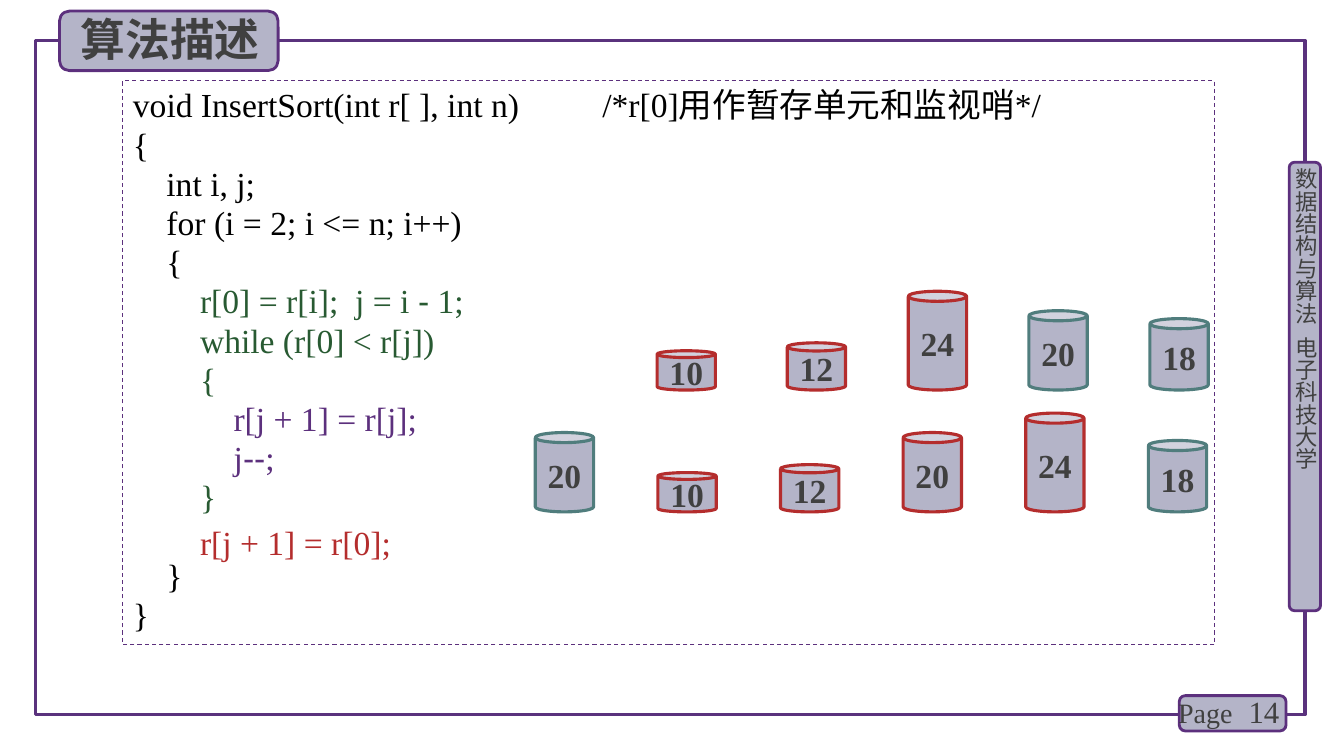
from dataclasses import dataclass
from itertools import groupby

from lxml import etree
from pptx import Presentation, util as u
from pptx.dml.color import RGBColor
from pptx.enum import dml, shapes, text
from pptx.oxml import ns


@dataclass(frozen=True)
class Theme:
    panel: str = "B4B4C8"
    frame: str = "5A327D"
    purple: str = "5C307D"
    green: str = "285A32"
    red: str = "B42D2D"
    teal: str = "507D7D"
    grey: str = "404040"
    black: str = "000000"
    serif: str = "Times New Roman"
    sans: str = "Arial"
    chinese: str = "Noto Sans CJK SC"
    title: int = 32
    body: int = 24
    number: int = 22
    label: int = 20
    side: int = 16
    pitch: int = 28


THEME = Theme()
SHAPE = shapes.MSO_SHAPE


@dataclass(frozen=True)
class Area:
    left: float
    top: float
    width: float
    height: float

    def lengths(self) -> list:
        return [u.Cm(n) for n in (self.left, self.top, self.width, self.height)]


@dataclass(frozen=True)
class Panel:
    area: Area
    kind: int = SHAPE.ROUNDED_RECTANGLE
    fill: str | None = THEME.panel
    line: str = THEME.purple
    weight: float = 2
    dashed: bool = False


@dataclass(frozen=True)
class Label:
    words: str
    area: Area
    size: int
    font: str = THEME.serif
    bold: bool = False
    align: int = text.PP_ALIGN.LEFT
    anchor: int = text.MSO_ANCHOR.TOP
    vertical: bool = False


@dataclass(frozen=True)
class CodeBlock:
    row: float
    color: str
    lines: tuple[str, ...]


@dataclass(frozen=True)
class CanRow:
    bottom: float
    lefts: tuple[float, ...]
    values: tuple[int, ...]
    pending: tuple[int, ...]  # positions not yet sorted


PANELS = (
    Panel(Area(0.89, 1.02, 32, 16.99), SHAPE.RECTANGLE, None, THEME.frame, 2.25),
    Panel(Area(32.49, 4.09, 0.79, 11.3)),
    Panel(Area(29.72, 17.53, 2.69, 0.89)),
    Panel(Area(1.5, 0.28, 5.51, 1.5)),
    Panel(Area(3.1, 2.03, 27.51, 14.22), SHAPE.RECTANGLE, None, weight=0.75, dashed=True),
)
LABELS = (
    Label("数据结构与算法", Area(32.56, 4.24, 0.69, 4.2), THEME.side, THEME.chinese, vertical=True),
    Label("电子科技大学", Area(32.56, 8.48, 0.69, 4.2), THEME.side, THEME.chinese, vertical=True),
    Label("14", Area(30.15, 17.42, 2.34, 1.02), THEME.number,
          align=text.PP_ALIGN.RIGHT, anchor=text.MSO_ANCHOR.MIDDLE),
    Label("Page", Area(29.44, 17.4, 3.25, 1.12), THEME.label),
    Label("算法描述", Area(1.78, 0.18, 5.33, 1.63), THEME.title, THEME.chinese, True),
)
CODE_LEFT, CODE_TOP, CODE_WIDTH, COMMENT_TAB = 3.1, 2.03, 27.5, 11.83
CODE = (
    CodeBlock(0, THEME.black, (
        "void InsertSort(int r[ ], int n)\t/*r[0]用作暂存单元和监视哨*/",
        "{",
        "    int i, j;",
        "    for (i = 2; i <= n; i++)",
        "    {")),
    CodeBlock(5, THEME.green, (
        "        r[0] = r[i];  j = i - 1;",
        "        while (r[0] < r[j])",
        "        {")),
    CodeBlock(8, THEME.purple, (
        "            r[j + 1] = r[j];",
        "            j--;")),
    CodeBlock(10, THEME.green, ("        }",)),
    CodeBlock(11.15, THEME.red, ("        r[j + 1] = r[0];",)),
    CodeBlock(12, THEME.black, ("    }", "}")),
)
CAN_WIDTH = 1.47
CAN_HEIGHTS = {10: 0.99, 12: 1.19, 18: 1.8, 20: 2.0, 24: 2.49}
CAN_ROWS = (
    CanRow(9.83, (16.56, 19.84, 22.89, 25.93, 28.98), (10, 12, 24, 20, 18), (3, 4)),
    CanRow(12.9, tuple(13.49 + 3.09 * i for i in range(6)), (20, 10, 12, 20, 24, 18), (0, 5)),
)


def apply(target, values: dict) -> None:
    for name, value in values.items():
        setattr(target, name, value)


def add_span(para, words: str, size: int, color: str, font: str = THEME.serif, bold: bool = False) -> None:
    span = para.add_run()
    span.text = words
    apply(span.font, {"name": font, "size": u.Pt(size), "bold": bold})
    span.font.color.rgb = RGBColor.from_string(color)
    east = etree.SubElement(span.font._element, ns.qn("a:ea"))
    east.set("typeface", THEME.chinese)


def add_panel(page, panel: Panel):
    box = page.shapes.add_shape(panel.kind, *panel.area.lengths())
    box.shadow.inherit = False
    if panel.fill:
        box.fill.solid()
        box.fill.fore_color.rgb = RGBColor.from_string(panel.fill)
    else:
        box.fill.background()
    box.line.color.rgb = RGBColor.from_string(panel.line)
    box.line.width = u.Pt(panel.weight)
    if panel.dashed:
        box.line.dash_style = dml.MSO_LINE.DASH
    return box


def add_label(page, label: Label) -> None:
    frame = page.shapes.add_textbox(*label.area.lengths()).text_frame
    apply(frame, {"word_wrap": True, "vertical_anchor": label.anchor})
    if label.vertical:
        margins = ("margin_left", "margin_top", "margin_right", "margin_bottom")
        apply(frame, dict.fromkeys(margins, 0))
        frame._txBody.bodyPr.set("vert", "eaVert")
    para = frame.paragraphs[0]
    para.alignment = label.align
    add_span(para, label.words, label.size, THEME.grey, label.font, label.bold)


def add_code(page, block: CodeBlock) -> None:
    pitch = u.Pt(THEME.pitch).cm
    area = Area(CODE_LEFT, CODE_TOP + block.row * pitch, CODE_WIDTH, len(block.lines) * pitch + 0.25)
    frame = page.shapes.add_textbox(*area.lengths()).text_frame
    frame.word_wrap = True
    for index, line in enumerate(block.lines):
        para = frame.add_paragraph() if index else frame.paragraphs[0]
        para.line_spacing = u.Pt(THEME.pitch)
        if "\t" in line:
            stops = etree.SubElement(para._p.get_or_add_pPr(), ns.qn("a:tabLst"))
            etree.SubElement(stops, ns.qn("a:tab"), pos=str(u.Cm(COMMENT_TAB)), algn="l")
        # Minus signs are set in the sans font
        for minus, letters in groupby(line, key=lambda letter: letter == "-"):
            add_span(para, "".join(letters), THEME.body, block.color, THEME.sans if minus else THEME.serif)


def add_cans(page, row: CanRow) -> None:
    for index, (left, value) in enumerate(zip(row.lefts, row.values)):
        height = CAN_HEIGHTS[value]
        color = THEME.teal if index in row.pending else THEME.red
        area = Area(left, row.bottom - height, CAN_WIDTH, height)
        can = add_panel(page, Panel(area, SHAPE.CAN, line=color, weight=2.25))
        can.adjustments[0] = 0.173
        apply(can.text_frame, {"word_wrap": False, "vertical_anchor": text.MSO_ANCHOR.MIDDLE})
        para = can.text_frame.paragraphs[0]
        para.alignment = text.PP_ALIGN.CENTER
        add_span(para, str(value), THEME.body, THEME.grey, bold=True)


def main() -> None:
    deck = Presentation()
    apply(deck, {"slide_width": u.Cm(33.87), "slide_height": u.Cm(19.05)})
    page = deck.slides.add_slide(deck.slide_layouts[6])
    # Frames and tabs, then their labels, the code and the sorted cans
    for draw, parts in ((add_panel, PANELS), (add_label, LABELS), (add_code, CODE), (add_cans, CAN_ROWS)):
        for part in parts:
            draw(page, part)
    deck.save("out.pptx")


if __name__ == "__main__":
    main()
